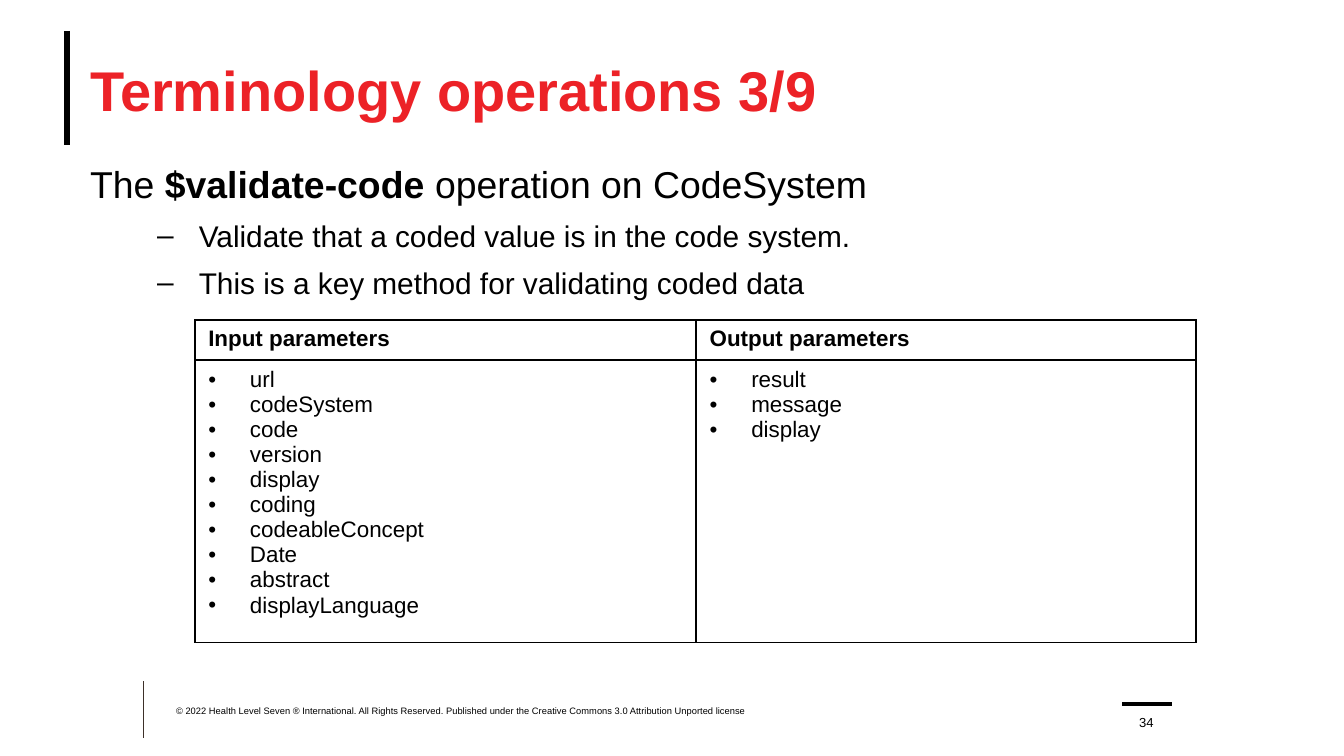
from lxml.etree import SubElement
from pptx import Presentation
from pptx.dml.color import RGBColor
from pptx.enum.shapes import MSO_CONNECTOR as Connector
from pptx.enum.text import MSO_ANCHOR as Anchor, PP_ALIGN as Align
from pptx.oxml import parse_xml
from pptx.oxml.ns import nsdecls, qn
from pptx.util import Inches, Pt

COLORS = {"title": "EC2227", "text": "000000", "rule": "3D3029"}
FONT = "Arial"
INPUTS = ["url", "codeSystem", "code", "version", "display", "coding",
          "codeableConcept", "Date", "abstract", "displayLanguage"]
OUTPUTS = ["result", "message", "display"]
COPYRIGHT = ("© 2022 Health Level Seven ® International. All Rights Reserved. "
             "Published under the Creative Commons 3.0 Attribution Unported license")


class SlideBuilder:
    """Draws styled elements on the current slide."""

    def __init__(self, slide):
        self.slide = slide

    def line(self, start, end, width, color="text"):
        points = [Inches(value) for value in (*start, *end)]
        connector = self.slide.shapes.add_connector(Connector.STRAIGHT, *points)
        connector.line.color.rgb = RGBColor.from_string(COLORS[color])
        connector.line.width = Pt(width)
        SubElement(connector._element.spPr, qn("a:effectLst"))

    def run(self, paragraph, text, size, bold=False, color="text"):
        run = paragraph.add_run()
        run.text = text
        run.font.name = FONT
        run.font.size = Pt(size)
        run.font.bold = bold
        run.font.color.rgb = RGBColor.from_string(COLORS[color])

    def bullet(self, paragraph, symbol, margin, hanging):
        properties = paragraph._p.get_or_add_pPr()
        properties.set("marL", str(Inches(margin)))
        properties.set("indent", str(-Inches(hanging)))
        SubElement(properties, qn("a:buFont")).set("typeface", FONT)
        SubElement(properties, qn("a:buChar")).set("char", symbol)

    def frame(self, shape, box, anchor):
        shape.left, shape.top, shape.width, shape.height = map(Inches, box)
        frame = shape.text_frame
        frame.word_wrap = True
        frame.vertical_anchor = anchor
        frame.margin_left = frame.margin_top = 0
        frame.margin_right = frame.margin_bottom = 0
        return frame

    def title(self, text, box):
        frame = self.frame(self.slide.shapes.title, box, Anchor.MIDDLE)
        paragraph = frame.paragraphs[0]
        paragraph.alignment = Align.LEFT
        self.run(paragraph, text, 30, True, "title")

    def text_box(self, box, anchor=Anchor.TOP):
        shape = self.slide.shapes.add_textbox(*map(Inches, box))
        return self.frame(shape, box, anchor)

    def label(self, text, box, size, anchor=Anchor.TOP, align=Align.LEFT):
        paragraph = self.text_box(box, anchor).paragraphs[0]
        paragraph.alignment = align
        self.run(paragraph, text, size)

    def body(self, heading, points, box):
        frame = self.text_box(box)
        for text, bold in heading:
            self.run(frame.paragraphs[0], text, 20, bold)
        for point in points:
            paragraph = frame.add_paragraph()
            paragraph.level = 1
            self.bullet(paragraph, "–", 0.81, 0.31)
            paragraph.space_before = Pt(6)
            self.run(paragraph, point, 16)

    def cell(self, cell, items, header):
        cell.fill.background()
        properties = cell._tc.get_or_add_tcPr()
        for position, side in enumerate(("lnL", "lnR", "lnT", "lnB")):
            properties.insert(position, parse_xml(
                f'<a:{side} {nsdecls("a")} w="{Pt(1)}"><a:solidFill>'
                f'<a:srgbClr val="{COLORS["text"]}"/></a:solidFill></a:{side}>'))
        frame = cell.text_frame
        for index, item in enumerate(items):
            paragraph = frame.add_paragraph() if index else frame.paragraphs[0]
            if not header:
                self.bullet(paragraph, "•", 0.31, 0.31)
            self.run(paragraph, item, 12, header)

    def table(self, columns, box, widths, heights):
        shape = self.slide.shapes.add_table(2, len(columns), *map(Inches, box))
        table = shape.table
        table.first_row = table.horz_banding = False
        for row, height in zip(table.rows, heights):
            row.height = Inches(height)
        for index, (heading, items) in enumerate(columns.items()):
            table.columns[index].width = Inches(widths[index])
            self.cell(table.cell(0, index), [heading], True)
            self.cell(table.cell(1, index), items, False)


def main():
    presentation = Presentation()
    presentation.slide_width = Inches(10)
    presentation.slide_height = Inches(10 * 9 / 16)
    builder = SlideBuilder(presentation.slides.add_slide(presentation.slide_layouts[5]))

    builder.line((0.5, 0.23), (0.5, 1.08), 3.25)
    builder.line((1.07, 5.07), (1.07, 5.49), 0.5, "rule")
    builder.line((8.35, 5.24), (8.72, 5.24), 2)
    builder.title("Terminology operations 3/9", (0.67, 0.23, 9, 0.86))
    builder.body(
        [("The ", False), ("$validate-code", True), (" operation on CodeSystem", False)],
        ["Validate that a coded value is in the code system.",
         "This is a key method for validating coded data"],
        (0.67, 1.2, 9, 3.89))
    builder.label(COPYRIGHT, (1.31, 5.25, 4.95, 0.17), 5)
    builder.label("34", (8.38, 5.26, 0.3, 0.17), 7, Anchor.BOTTOM, Align.CENTER)
    builder.table({"Input parameters": INPUTS, "Output parameters": OUTPUTS},
                  (1.45, 2.38, 7.45, 2.06), (3.73, 3.72), (0.23, 1.83))
    presentation.save("out.pptx")


if __name__ == "__main__":
    main()
